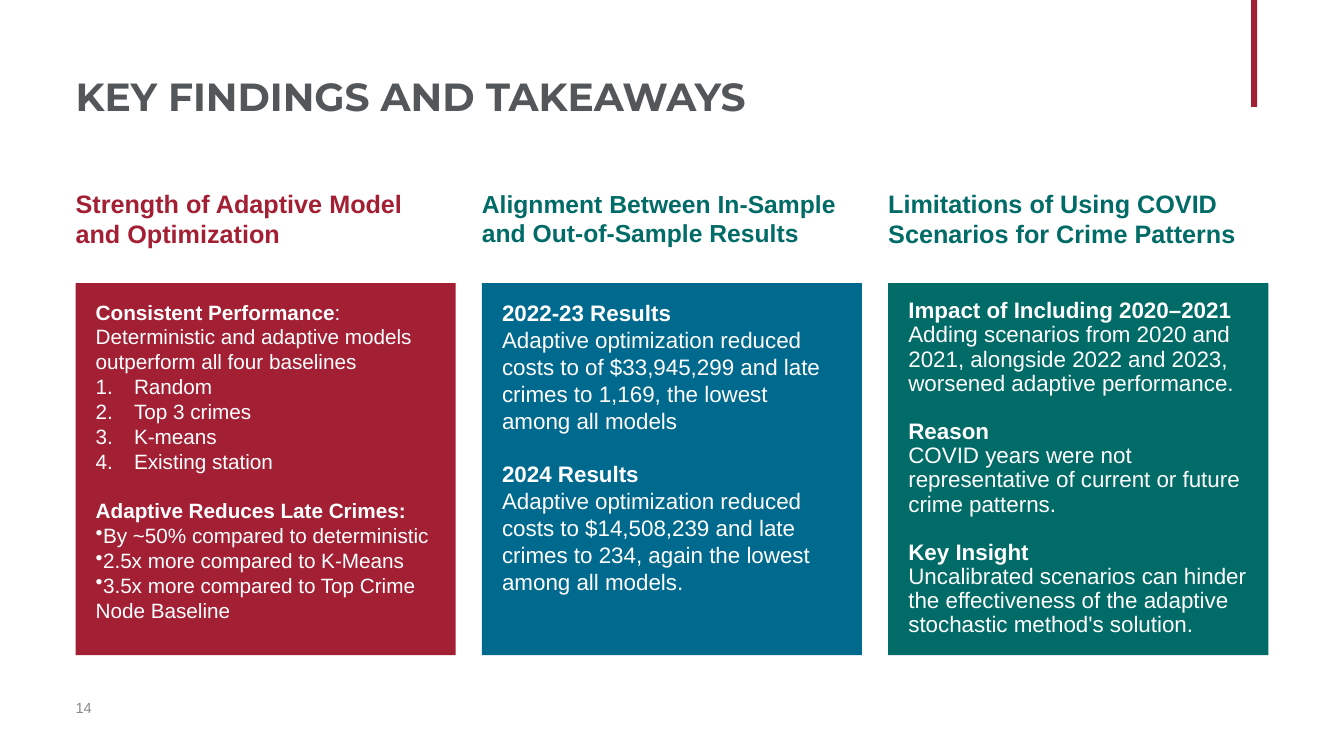
from pptx import Presentation
from pptx.util import Inches, Pt
from pptx.dml.color import RGBColor
from pptx.enum.shapes import MSO_SHAPE as Shape
from pptx.enum.text import PP_ALIGN as Align, MSO_ANCHOR as Anchor, MSO_AUTO_SIZE as Fit
from pptx.oxml.ns import qn
from lxml.etree import SubElement

HUES = {"red": "A31F34", "blue": "00698E", "green": "006B67",
        "white": "FFFFFF", "grey": "545759", "pale": "8A8B8C"}

CARDS = [
    {"head": "Strength of Adaptive Model and Optimization", "size": 18,
     "ink": "red", "fill": "red", "body": 14.8, "lead": 1.0, "items": [
         ("", "Consistent Performance",
          ": Deterministic and adaptive models outperform all four baselines"),
         ("num", "", "Random"),
         ("num", "", "Top 3 crimes"),
         ("num", "", "K-means"),
         ("num", "", "Existing station"),
         ("gap", "Adaptive Reduces Late Crimes:", ""),
         ("dot", "", "By ~50% compared to deterministic"),
         ("dot", "", "2.5x more compared to K-Means"),
         ("dot", "", "3.5x more compared to Top Crime Node Baseline")]},
    {"head": "Alignment Between In-Sample and Out-of-Sample Results", "size": 17.6,
     "ink": "green", "fill": "blue", "body": 16, "lead": 1.0, "items": [
         ("", "2022-23 Results", ""),
         ("", "", "Adaptive optimization reduced costs to of $33,945,299 and late "
                  "crimes to 1,169, the lowest among all models"),
         ("gap", "2024 Results", ""),
         ("", "", "Adaptive optimization reduced costs to $14,508,239 and late "
                  "crimes to 234, again the lowest among all models.")]},
    {"head": "Limitations of Using COVID Scenarios for Crime Patterns", "size": 18,
     "ink": "green", "fill": "green", "body": 16, "lead": 0.9, "items": [
         ("", "Impact of Including 2020–2021 ",
          "Adding scenarios from 2020 and 2021, alongside 2022 and 2023, "
          "worsened adaptive performance."),
         ("gap", "Reason", ""),
         ("", "", "COVID years were not representative of current or future "
                  "crime patterns."),
         ("gap", "Key Insight", ""),
         ("", "", "Uncalibrated scenarios can hinder the effectiveness of the "
                  "adaptive stochastic method's solution.")]},
]


def rgb(name):
    """Look up a colour by name."""
    return RGBColor.from_string(HUES[name])


def add_run(para, text, size, hue, bold=False, face="Arial"):
    """Add one styled run to a paragraph."""
    run = para.add_run()
    run.text = text
    run.font.size, run.font.bold, run.font.name = Pt(size), bold, face
    run.font.color.rgb = rgb(hue)


def set_frame(shape, pads, anchor=Anchor.TOP):
    """Set insets, wrap and anchor, and return the text frame."""
    frame = shape.text_frame
    frame.word_wrap, frame.auto_size = True, Fit.NONE
    frame.vertical_anchor = anchor
    (frame.margin_left, frame.margin_top,
     frame.margin_right, frame.margin_bottom) = map(Inches, pads)
    return frame


def add_block(slide, box, hue):
    """Add a plain filled rectangle."""
    block = slide.shapes.add_shape(Shape.RECTANGLE, *map(Inches, box))
    block.shadow.inherit = False
    block.fill.solid()
    block.fill.fore_color.rgb = rgb(hue)
    block.line.fill.background()
    return block


def add_mark(para, kind):
    """Give a paragraph its number or dot."""
    props = para._p.get_or_add_pPr()
    if kind == "num":
        props.set("marL", str(Inches(0.38)))
        props.set("indent", str(Inches(-0.38)))
        SubElement(props, qn("a:buAutoNum"), type="arabicPeriod")
    elif kind == "dot":
        SubElement(props, qn("a:buChar"), char="•")


def add_label(slide, box, text, size, hue, pads, bold=False, anchor=Anchor.TOP):
    """Add a one-paragraph text box."""
    label = slide.shapes.add_textbox(*map(Inches, box))
    frame = set_frame(label, pads, anchor)
    add_run(frame.paragraphs[0], text, size, hue, bold)


def add_card(slide, box, card):
    """Place a heading above a filled panel of findings."""
    left, top, wide, high = box
    add_label(slide, (left, top, wide, 0.93), card["head"], card["size"],
              card["ink"], (0, 0, 0.1, 0.05), True)
    panel = add_block(slide, (left, top + 0.94, wide, high - 0.94), card["fill"])
    frame = set_frame(panel, (0.2, 0.16, 0.2, 0.16))
    size = card["body"]
    for pos, (kind, bold, plain) in enumerate(card["items"]):
        para = frame.add_paragraph() if pos else frame.paragraphs[0]
        para.alignment, para.line_spacing = Align.LEFT, card["lead"]
        if kind == "gap":
            para.space_before = Pt(round(size * card["lead"] * 1.2, 1))
        add_mark(para, kind)
        for text, heavy in ((bold, True), (plain, False)):
            if text:
                add_run(para, text, size, "white", heavy)


def add_title(slide, box, text):
    """Place and format the slide title."""
    title = slide.shapes.title
    title.left, title.top, title.width, title.height = map(Inches, box)
    frame = set_frame(title, (0, 0.05, 0.1, 0.05), Anchor.MIDDLE)
    para = frame.paragraphs[0]
    para.alignment = Align.LEFT
    add_run(para, text, 28, "grey", True, "Montserrat")


def main():
    """Build and save the slide."""
    deck = Presentation()
    deck.slide_width, deck.slide_height = Inches(13.33), Inches(7.5)
    slide = deck.slides.add_slide(deck.slide_layouts[5])
    add_block(slide, (12.41, 0, 0.06, 1.06), "red")
    add_title(slide, (0.75, 0.33, 9.82, 1.24), "KEY FINDINGS AND TAKEAWAYS")
    for col, card in enumerate(CARDS):
        add_card(slide, (0.75 + col * 4.03, 1.87, 3.77, 4.63), card)
    add_label(slide, (0.75, 6.82, 0.27, 0.4), "14", 10.5, "pale",
              (0, 0.05, 0, 0.05), anchor=Anchor.MIDDLE)
    deck.save("out.pptx")


if __name__ == "__main__":
    main()
